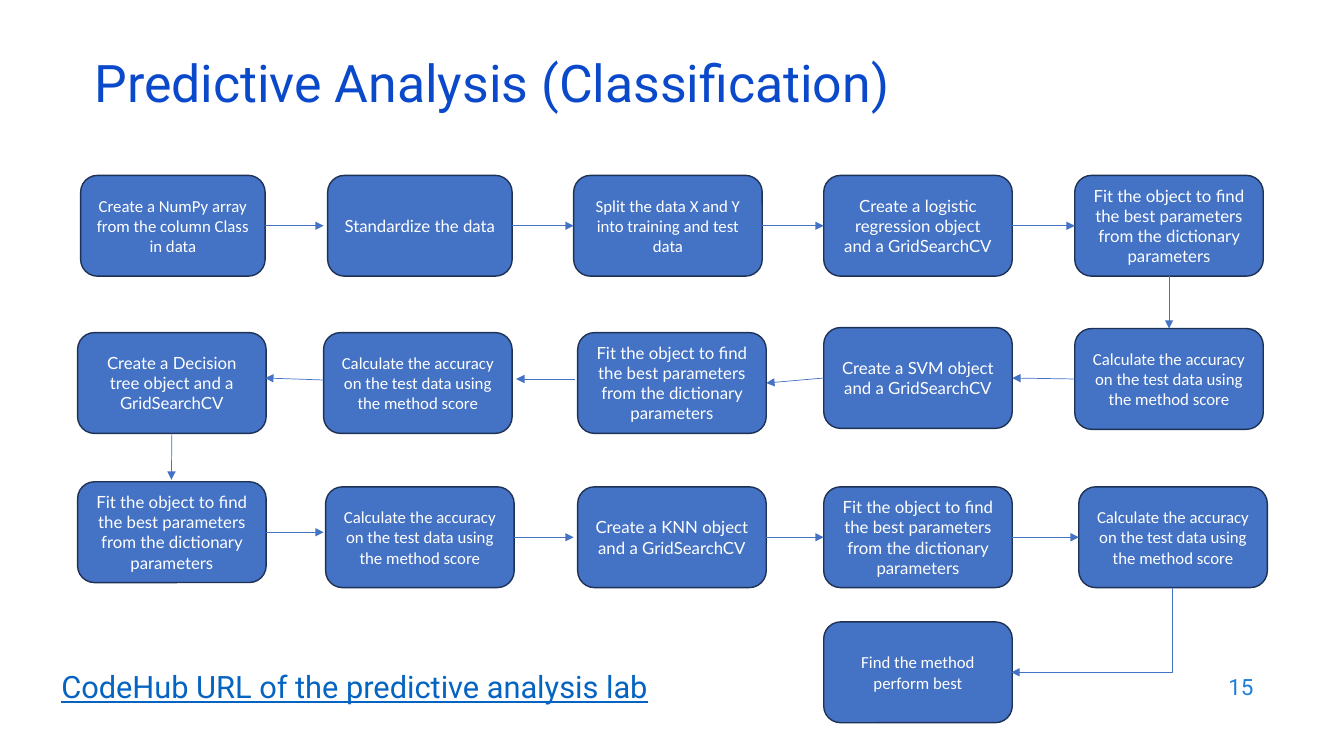
from dataclasses import dataclass
from lxml import etree
from pptx import Presentation
from pptx.dml.color import RGBColor as RGB
from pptx.enum.shapes import MSO_CONNECTOR as Conn, MSO_SHAPE as Form
from pptx.enum.text import MSO_ANCHOR as Anchor, PP_ALIGN as Align
from pptx.oxml.ns import qn
from pptx.util import Pt

PX = 9144  # 100 px to the inch


@dataclass(frozen=True)
class Theme:
    title: RGB = RGB.from_string("0B49CB")
    link: RGB = RGB.from_string("0563C1")
    page: RGB = RGB.from_string("1C7DDB")
    fill: RGB = RGB.from_string("4472C4")
    edge: RGB = RGB.from_string("1E3256")
    white: RGB = RGB.from_string("FFFFFF")
    head: str = "Roboto"
    lato: str = "Lato"
    plain: str = "Calibri"
    big: int = 37
    mid: int = 22
    num: int = 16
    small: int = 12


theme = Theme()
deck = Presentation()
deck.slide_width, deck.slide_height = 1333 * PX, 750 * PX
slide = deck.slides.add_slide(deck.slide_layouts[6])
shapes = slide.shapes


def write(shape, text, font, size, color, align):
    """Fill the shape with wrapped, vertically centred text."""
    frame = shape.text_frame
    frame.word_wrap = True
    frame.vertical_anchor = Anchor.MIDDLE
    frame.text = text
    for para in frame.paragraphs:
        para.alignment = align
        para.font.name, para.font.size = font, Pt(size)
        para.font.color.rgb = color
    return frame.paragraphs[0]


def draw(kind, ends):
    """Add a thin arrow between two points."""
    line = shapes.add_connector(kind, *(v * PX for v in ends))
    line.line.color.rgb = theme.fill
    line.line.width = Pt(0.5)
    props = line._element.spPr
    etree.SubElement(props.find(qn("a:ln")), qn("a:tailEnd"), type="triangle")
    etree.SubElement(props, qn("a:effectLst"))
    return line


# Title, page number and link
area = shapes.add_textbox(84 * PX, 59 * PX, 1150 * PX, 60 * PX)
para = write(area, "Predictive Analysis (Classification)",
             theme.head, theme.big, theme.title, Align.LEFT)
para.line_spacing = 0.7

area = shapes.add_textbox(953 * PX, 659 * PX, 300 * PX, 44 * PX)
write(area, "15", theme.head, theme.num, theme.page, Align.RIGHT)

area = shapes.add_textbox(51 * PX, 658 * PX, 740 * PX, 46 * PX)
bullet = area.text_frame.paragraphs[0]._p.get_or_add_pPr()
bullet.set("marL", str(10 * PX))
bullet.set("indent", str(-10 * PX))
etree.SubElement(bullet, qn("a:buChar"), char="•")
para = write(area, "CodeHub URL of the predictive analysis lab",
             theme.head, theme.mid, theme.link, Align.LEFT)
para.font.underline = True

# Steps in order of flow: left, top, width, font, text
fit = "Fit the object to find the best parameters from the dictionary parameters"
score = "Calculate the accuracy on the test data using the method score"
lato, plain = theme.lato, theme.plain
steps = [
    (80, 174, 183, plain, "Create a NumPy array from the column Class in data"),
    (325, 174, 183, lato, "Standardize the data"),
    (569, 174, 187, plain, "Split the data X and Y into training and test data"),
    (817, 174, 187, lato, "Create a logistic regression object\nand a GridSearchCV"),
    (1066, 174, 187, lato, fit),
    (1066, 326, 187, plain, score),
    (817, 325, 187, lato, "Create a SVM object\nand a GridSearchCV"),
    (573, 330, 187, lato, fit),
    (321, 330, 187, plain, score),
    (77, 330, 187, lato, "Create a Decision tree object and a GridSearchCV"),
    (77, 478, 187, lato, fit),
    (323, 483, 187, plain, score),
    (573, 483, 187, lato, "Create a KNN object and a GridSearchCV"),
    (817, 483, 187, lato, fit),
    (1070, 483, 187, plain, score),
    (817, 617, 187, plain, "Find the method perform best"),
]
tall = 100
boxes, sides = [], []
for x, y, wide, font, text in steps:
    box = shapes.add_shape(Form.ROUNDED_RECTANGLE,
                           x * PX, y * PX, wide * PX, tall * PX)
    box.shadow.inherit = False
    box.fill.solid()
    box.fill.fore_color.rgb = theme.fill
    box.line.color.rgb = theme.edge
    box.line.width = Pt(1)
    write(box, text, font, theme.small, theme.white, Align.CENTER)
    boxes.append(box)
    sides.append([(x + wide / 2, y), (x, y + tall / 2),
                  (x + wide / 2, y + tall), (x + wide, y + tall / 2)])

# Each arrow leads from one step to the next
links = [
    (263, 224, 321, 224), (508, 224, 569, 224), (756, 224, 817, 224),
    (1003, 224, 1066, 224), (1160, 274, 1160, 326), (1066, 376, 1003, 375),
    (817, 375, 760, 380), (570, 376, 512, 376), (321, 377, 263, 375),
    (170, 430, 170, 476), (263, 528, 321, 528), (509, 533, 569, 533),
    (760, 533, 817, 533), (1003, 533, 1070, 533),
]
for i, ends in enumerate(links):
    line = draw(Conn.STRAIGHT, ends)
    tips = [(line.begin_connect, i, ends[:2]), (line.end_connect, i + 1, ends[2:])]
    for join, k, (x, y) in tips:
        for site, (sx, sy) in enumerate(sides[k]):
            if abs(x - sx) <= 1 and abs(y - sy) <= 1:
                join(boxes[k], site)

# The last arrow runs down, then left: a one-bend connector turned a quarter
bend = draw(Conn.ELBOW, (1163, 583, 1003, 667))
bend.begin_connect(boxes[-2], 2)
bend.end_connect(boxes[-1], 3)
bend.left, bend.top = 1041 * PX, 545 * PX
bend.width, bend.height = 84 * PX, 160 * PX
props = bend._element.spPr
props.find(qn("a:prstGeom")).set("prst", "bentConnector2")
turn = props.find(qn("a:xfrm"))
turn.set("rot", "5400000")
turn.set("flipH", "0")

deck.save("out.pptx")
